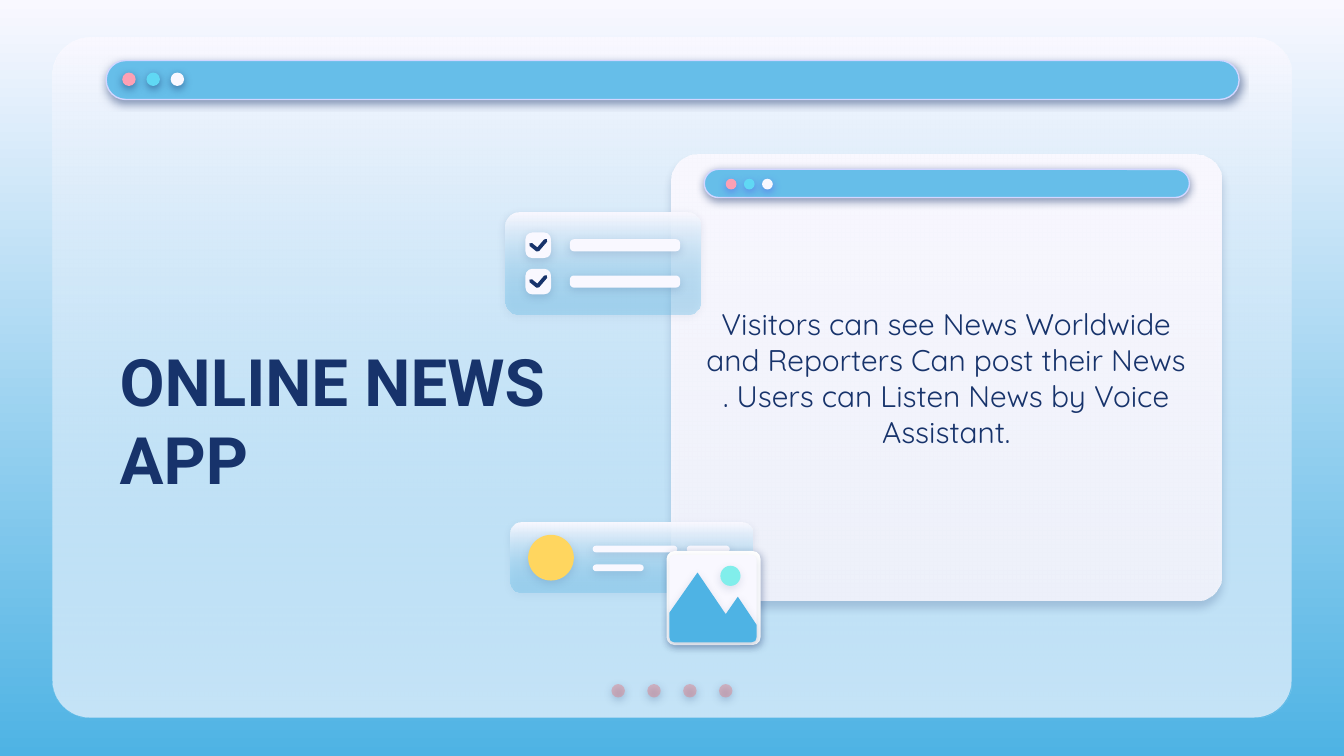
from lxml.etree import SubElement
from pptx import Presentation
from pptx.dml.color import RGBColor
from pptx.enum.shapes import MSO_SHAPE
from pptx.enum.text import MSO_ANCHOR, PP_ALIGN
from pptx.oxml.ns import qn
from pptx.util import Inches, Pt

COLORS = {
    "white": "F9F8FF", "frame": "FFFFFF", "sky": "66BEE9", "blue": "4EB3E4",
    "navy": "17336B", "indigo": "5352EE", "lilac": "D2D6FF", "pink": "FDA0B4",
    "cyan": "60D8F4", "rose": "E27B83", "yellow": "FFD65F", "mint": "81EEEB",
}

TITLE = {
    "text": "ONLINE NEWS APP", "box": (0.79, 2.34, 3.61, 1.56), "align": PP_ALIGN.LEFT,
    "after": 0, "font": {"name": "Roboto", "size": Pt(35), "bold": True},
}
BODY = {
    "text": "Visitors can see News Worldwide and Reporters Can post their News . "
            "Users can Listen News by Voice Assistant.",
    "box": (5.15, 1.58, 3.78, 2.46), "align": PP_ALIGN.CENTER,
    "after": 12, "font": {"name": "Quicksand", "size": Pt(16), "bold": False},
}

# Shadows: colour, opacity %, distance pt, direction in degrees
STRONG = ("navy", 50, 1.5, 90)
GLOW = ("indigo", 50, 1.5, 90)
SOFT = ("navy", 15, 1.5, 90)
FAINT = ("navy", 13, 1.5, 90)
CARD_SHADOW = ("navy", 22, 3.8, 91)
FRAME_SHADOW = ("navy", 33, 1.5, 64)

# Fills: one colour, or a top and a bottom colour; then the opacity % at the end
GLASS = ("white", "sky", 35)
CARD = ("white", "white", 87)

WINDOW_DOTS = ["pink", "cyan", "white"]
CHECK_TOPS = [1.73, 2.0]
CHECK_MARK = [(0.04, 0.09), (0.09, 0.13), (0.15, 0.06)]
NEWS_LINES = [(4.41, 4.06, 0.63), (5.11, 4.06, 0.32), (4.41, 4.2, 0.38)]
MOUNTAINS = [(5.19, 4.26), (4.98, 4.56), (4.98, 4.74), (4.99, 4.77), (5.02, 4.78),
             (5.59, 4.78), (5.62, 4.77), (5.63, 4.74), (5.63, 4.65), (5.49, 4.44),
             (5.4, 4.57)]


def rgb(name):
    return RGBColor.from_string(COLORS[name])


def fill_gradient(fill, top, bottom):
    fill.gradient()
    fill.gradient_angle = 270
    for stop, name in zip(fill.gradient_stops, (top, bottom)):
        stop.color.rgb = rgb(name)


def set_alpha(color, percent):
    SubElement(color, qn("a:alpha")).set("val", str(percent * 1000))


def style(sp, fill, shadow=None, line=None):
    """Apply fill, outline and shadow; fill is a name or (colours..., opacity)."""
    if fill is None:
        sp.fill.background()
    elif isinstance(fill, str):
        sp.fill.solid()
        sp.fill.fore_color.rgb = rgb(fill)
    else:
        *names, opacity = fill
        if len(names) == 2:
            fill_gradient(sp.fill, *names)
        else:
            sp.fill.solid()
            sp.fill.fore_color.rgb = rgb(names[0])
        set_alpha(list(sp._element.spPr.iter(qn("a:srgbClr")))[-1], opacity)
    if line:
        name, width = line
        sp.line.color.rgb = rgb(name)
        sp.line.width = Pt(width)
    else:
        sp.line.fill.background()
    sp.shadow.inherit = False
    if shadow:
        name, opacity, dist, angle = shadow
        effects = sp._element.spPr.find(qn("a:effectLst"))
        outer = SubElement(effects, qn("a:outerShdw"), blurRad=str(Pt(4.5)),
                           dist=str(Pt(dist)), dir=str(angle * 60000),
                           algn="bl", rotWithShape="0")
        set_alpha(SubElement(outer, qn("a:srgbClr"), val=COLORS[name]), opacity)
    return sp


def add_box(x, y, w, h, radius, fill, shadow=None, line=None):
    sp = shapes.add_shape(MSO_SHAPE.ROUNDED_RECTANGLE, *map(Inches, (x, y, w, h)))
    sp.adjustments[0] = radius / min(w, h)
    return style(sp, fill, shadow, line)


def add_dot(x, y, size, fill, shadow):
    sp = shapes.add_shape(MSO_SHAPE.OVAL, *map(Inches, (x, y, size, size)))
    return style(sp, fill, shadow)


def add_dots(x, y, size, step, fills, shadow):
    for i, fill in enumerate(fills):
        add_dot(x + i * step, y, size, fill, shadow)


def add_outline(points, close):
    points = [(Inches(x), Inches(y)) for x, y in points]
    builder = shapes.build_freeform(*points[0])
    builder.add_line_segments(points[1:], close=close)
    return builder.convert_to_shape()


def place_text(sp, content):
    """Move a placeholder to the front and give it its text."""
    shapes._spTree.append(sp._element)
    sp.left, sp.top, sp.width, sp.height = map(Inches, content["box"])
    tf = sp.text_frame
    tf.word_wrap = True
    tf.vertical_anchor = MSO_ANCHOR.MIDDLE
    for side in ("left", "top", "right", "bottom"):
        setattr(tf, f"margin_{side}", Inches(0.1))
    p = tf.paragraphs[0]
    p.alignment = content["align"]
    p.space_before, p.space_after = Pt(0), Pt(content["after"])
    r = p.add_run()
    r.text = content["text"]
    for key, value in content["font"].items():
        setattr(r.font, key, value)
    r.font.color.rgb = rgb("navy")


prs = Presentation()
prs.slide_width, prs.slide_height = Inches(10), Inches(10 * 9 / 16)
s = prs.slides.add_slide(prs.slide_layouts[0])
shapes = s.shapes
fill_gradient(s.background.fill, "white", "blue")

# Window
for fill in ("white", GLASS):
    add_box(0.39, 0.28, 9.22, 5.06, 0.28, fill)
add_dots(4.55, 5.09, 0.1, 0.8 / 3, [("rose", 44)] * 4, STRONG)
add_box(0.79, 0.45, 8.43, 0.29, 0.145, "sky", STRONG, ("lilac", 0.75))
add_dots(0.91, 0.54, 0.1, 0.18, WINDOW_DOTS, STRONG)
place_text(shapes.title, TITLE)

# Text card
add_box(5, 1.15, 4.09, 3.32, 0.19, CARD, CARD_SHADOW)
add_box(5.24, 1.26, 3.61, 0.21, 0.105, "sky", STRONG, ("lilac", 0.75))
add_dots(5.4, 1.33, 0.08, 0.27 / 2, WINDOW_DOTS, GLOW)
place_text(s.placeholders[1], BODY)

# Checklist
add_box(3.76, 1.58, 1.45, 0.76, 0.1, GLASS, SOFT)
for top in CHECK_TOPS:
    add_box(4.24, top + 0.05, 0.82, 0.09, 0.03, "white", SOFT)
    add_box(3.91, top, 0.19, 0.19, 0.05, "white", SOFT)
    mark = add_outline([(3.91 + x, top + y) for x, y in CHECK_MARK], close=False)
    style(mark, None, line=("navy", 2))
    mark.line._get_or_add_ln().set("cap", "rnd")

# News item
add_box(3.8, 3.89, 1.8, 0.52, 0.08, GLASS, FAINT)
add_dot(3.93, 3.98, 0.34, "yellow", FAINT)
for x, y, w in NEWS_LINES:
    add_box(x, y, w, 0.05, 0.025, "white", FAINT)

# Photo icon
add_box(4.96, 4.1, 0.7, 0.7, 0.06, "frame", FRAME_SHADOW)
add_box(4.98, 4.13, 0.65, 0.65, 0.04, "white", FAINT)
style(add_outline(MOUNTAINS, close=True), "blue", FAINT)
add_dot(5.36, 4.21, 0.15, "mint", FAINT)

prs.save("out.pptx")
